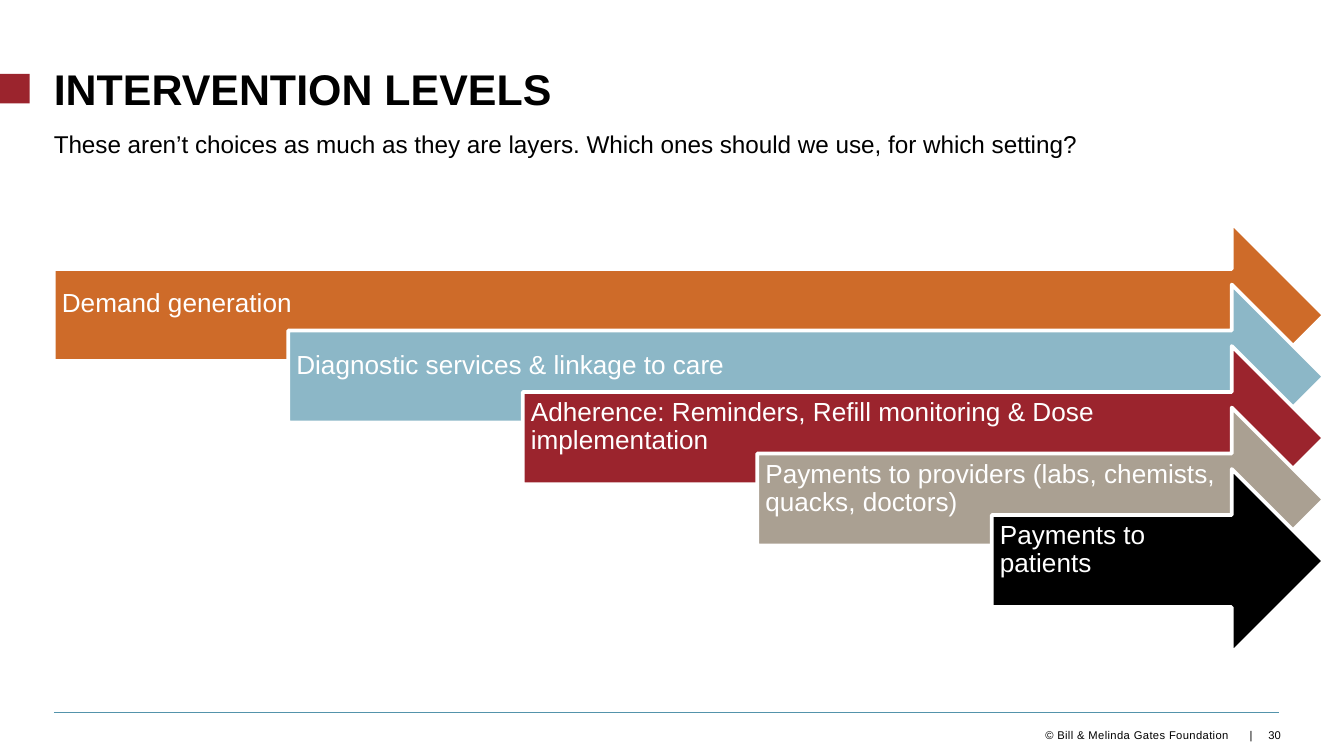
"""Build the intervention levels slide with five layered arrows."""
import pptx
import pptx.util
import pptx.dml.color
import pptx.enum.shapes
import pptx.enum.text
import lxml.etree

RGB = pptx.dml.color.RGBColor
BLACK = RGB(0x00, 0x00, 0x00)
WHITE = RGB(0xFF, 0xFF, 0xFF)
RED = RGB(0x9B, 0x24, 0x2D)
ORANGE = RGB(0xCE, 0x6B, 0x29)
BLUE = RGB(0x8C, 0xB7, 0xC7)
TAUPE = RGB(0xAA, 0xA0, 0x92)
TEAL = RGB(0x53, 0x93, 0xAB)
In = pptx.util.Inches
Pt = pptx.util.Pt
SHAPE = pptx.enum.shapes.MSO_SHAPE
ANCHOR = pptx.enum.text.MSO_ANCHOR
ALIGN = pptx.enum.text.PP_ALIGN

LEFT, RIGHT, TIP = 0.4, 9.52, 9.85
COL, ROW, TOP = 6.98 / 4, 1.83 / 4, 1.66
ARROW_H = 1.37

prs = pptx.Presentation()
prs.slide_width = In(10)
prs.slide_height = prs.slide_width * 9 // 16
s = prs.slides.add_slide(prs.slide_layouts[6])


def add_shape(kind, x, y, w, h, color):
    sp = s.shapes.add_shape(kind, In(x), In(y), In(w), In(h))
    sp.shadow.inherit = False
    sp.fill.solid()
    sp.fill.fore_color.rgb = color
    sp.line.fill.background()
    return sp


def add_text(texts, x, y, w, h, size, color=BLACK, anchor=ANCHOR.TOP,
             align=ALIGN.LEFT, insets=(0, 0, 0, 0), spacing=None):
    tf = s.shapes.add_textbox(In(x), In(y), In(w), In(h)).text_frame
    tf.word_wrap = True
    tf.vertical_anchor = anchor
    tf.margin_left, tf.margin_top, tf.margin_right, tf.margin_bottom = map(In, insets)
    p = tf.paragraphs[0]
    p.alignment = align
    p.line_spacing = spacing
    for text in texts:
        r = p.add_run()
        r.text = text
        r.font.name, r.font.size, r.font.color.rgb = "Arial", Pt(size), color
    return p.runs


add_shape(SHAPE.RECTANGLE, 0, 0.55, 0.22, 0.22, RED)
rule = s.shapes.add_connector(pptx.enum.shapes.MSO_CONNECTOR.STRAIGHT,
                              In(LEFT), In(5.3), In(RIGHT), In(5.3))
rule.line.color.rgb = TEAL
rule.line.width = Pt(0.5)
lxml.etree.SubElement(rule._element.spPr, pptx.oxml.ns.qn("a:effectLst"))

footer = add_text(["© Bill & Melinda Gates Foundation", " ", "|"], 6.15, 5.35, 3.17, 0.17, 6,
                  anchor=ANCHOR.BOTTOM, align=ALIGN.RIGHT)
for r, tracking in zip(footer, ("20", "950", "20")):
    r.font._element.set("spc", tracking)
add_text(["30"], 9.32, 5.35, 0.21, 0.17, 6, anchor=ANCHOR.BOTTOM, align=ALIGN.RIGHT)

add_text(["These aren’t choices as much as they are layers. Which ones should we use, "
          "for which setting?"], LEFT, 0.96, 9.11, 0.49, 13)

levels = [
    ("Demand generation", ORANGE),
    ("Diagnostic services & linkage to care", BLUE),
    ("Adherence: Reminders, Refill monitoring & Dose implementation", RED),
    ("Payments to providers (labs, chemists, quacks, doctors)", TAUPE),
    ("Payments to patients", BLACK),
]
for i, (text, color) in enumerate(levels):
    x, y = LEFT + i * COL, TOP + i * ROW
    sp = add_shape(SHAPE.RIGHT_ARROW, x, y, TIP - x, ARROW_H, color)
    sp.line.color.rgb = WHITE
    sp.line.width = Pt(2)
    add_text([text], x, y + ARROW_H / 4, TIP - x - ARROW_H / 4, ARROW_H / 2, 14, WHITE,
             ANCHOR.MIDDLE, insets=(0.06, 0.06, 0.28, 0.22), spacing=0.9)

title = add_text(["INTERVENTION LEVELS"], LEFT, 0.53, 9.11, 0.42, 23, spacing=Pt(23))
title[0].font.bold = True

prs.save("out.pptx")
